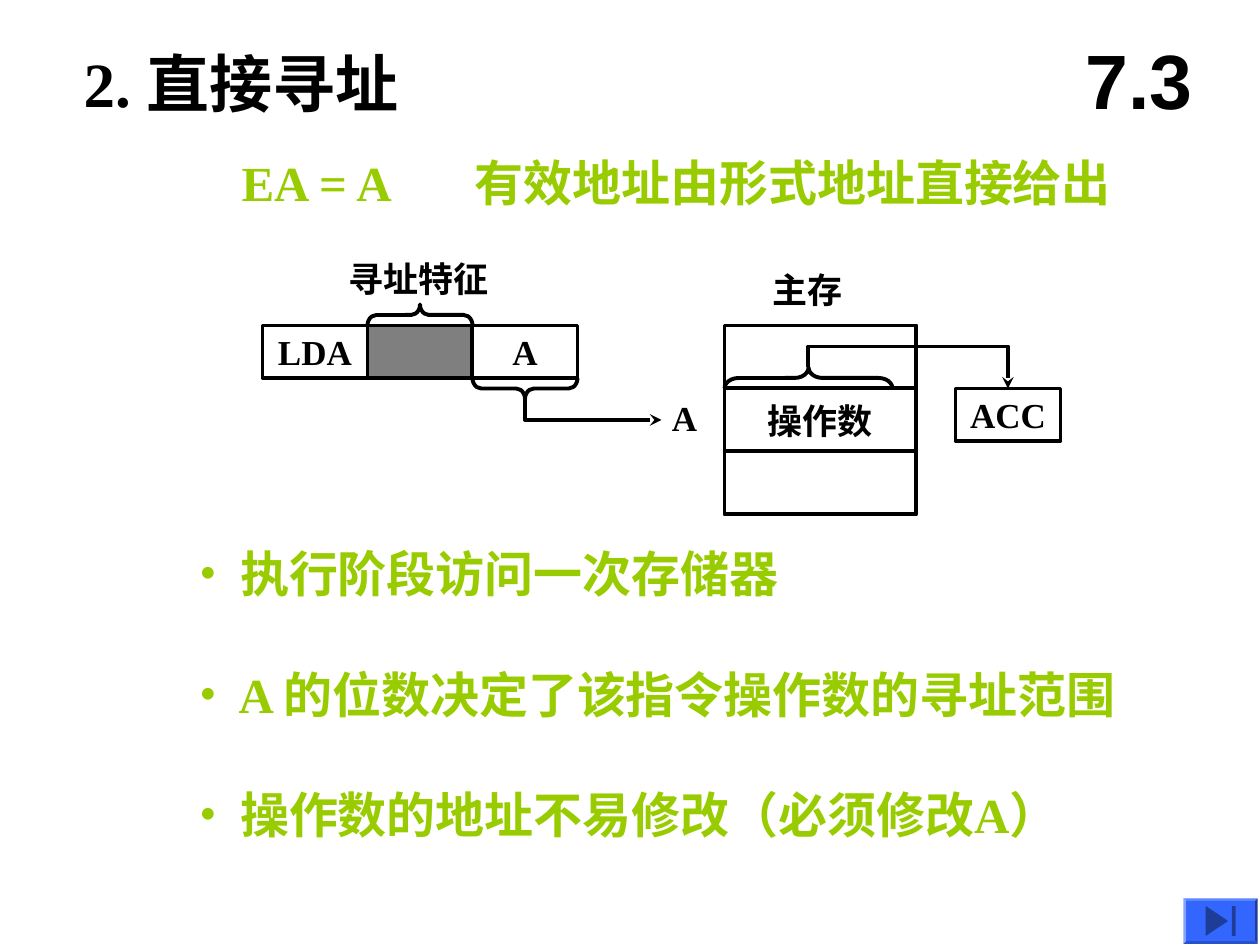
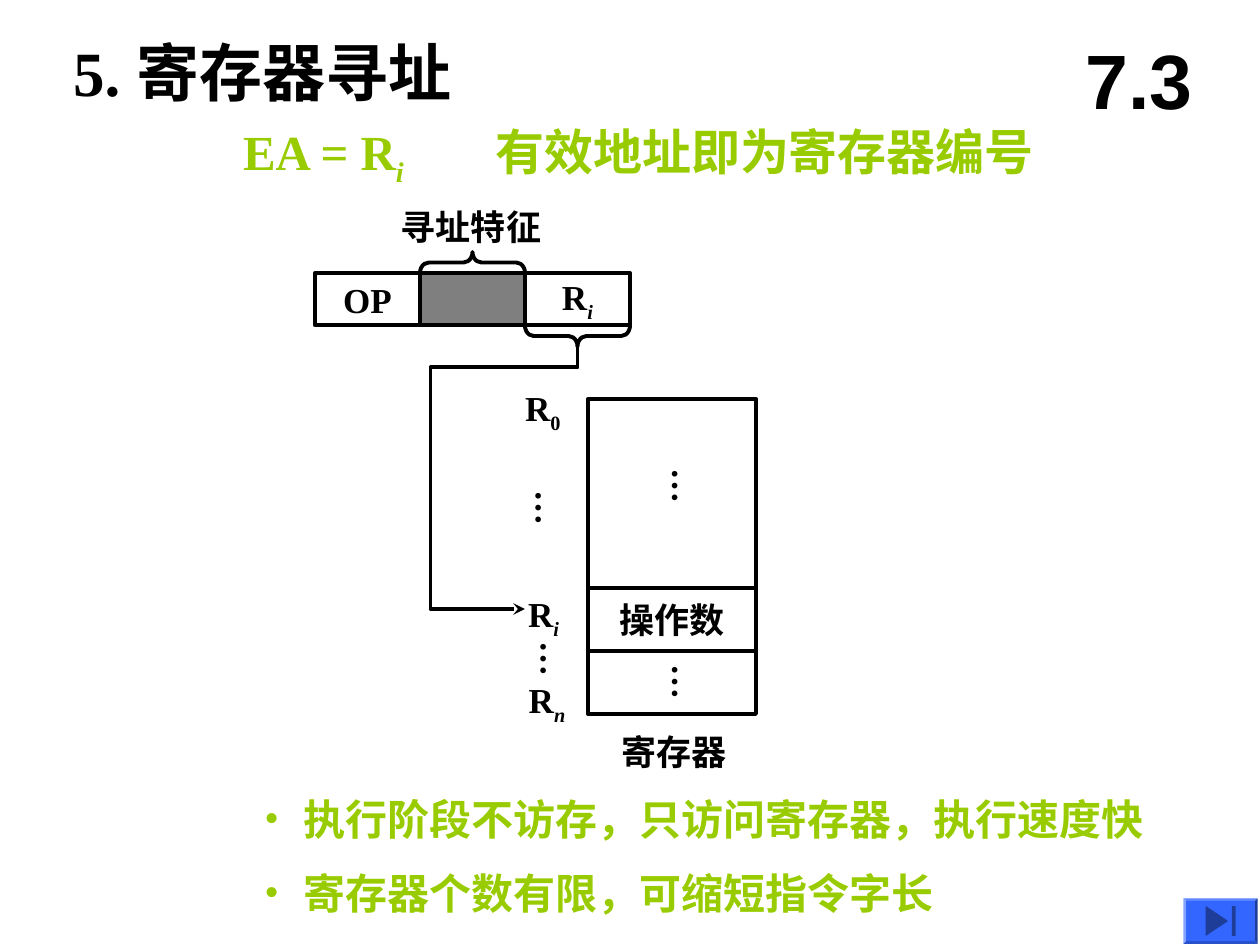
import lxml.etree
import pptx
import pptx.dml.color
import pptx.enum.shapes
import pptx.enum.text
import pptx.oxml.ns
import pptx.util

Pt = pptx.util.Pt
SHAPES = pptx.enum.shapes.MSO_SHAPE
ALIGN = pptx.enum.text.PP_ALIGN
ANCHOR = pptx.enum.text.MSO_ANCHOR
AUTO_SIZE = pptx.enum.text.MSO_AUTO_SIZE
qn = pptx.oxml.ns.qn

BLACK = "000000"
GREEN = "99CC00"
BLUE = "3366FF"
SERIF = "Times New Roman"
SANS = "Arial"


def colour(value):
    """Turn a hex string into a colour."""
    return pptx.dml.color.RGBColor.from_string(value)


def write(frame, text, size=20, font=SERIF, ink=BLACK, align=ALIGN.LEFT, bullet=False):
    """Write one bold paragraph; the part after an underscore is a subscript."""
    para = frame.paragraphs[0]
    para.alignment = align
    if bullet:
        props = para._p.get_or_add_pPr()
        props.set("marL", str(Pt(17)))
        props.set("indent", str(-Pt(17)))
        tint = lxml.etree.SubElement(props, qn("a:buClr"))
        lxml.etree.SubElement(tint, qn("a:srgbClr"), val=ink)
        lxml.etree.SubElement(props, qn("a:buFont"), typeface=font)
        lxml.etree.SubElement(props, qn("a:buChar"), char="•")
    base, _, index = text.partition("_")
    for part in filter(None, (base, index)):
        span = para.add_run()
        span.text = part
        span.font.size = Pt(size)
        span.font.name = font
        span.font.bold = True
        span.font.color.rgb = colour(ink)
    if index:
        span.font.italic = index.isalpha() or None
        span._r.get_or_add_rPr().set("baseline", "-25000")


class Lecture:
    """Hold the deck, its style and the current page."""

    line_width = 2.25
    cell_width, cell_height = 60, 30
    row_height = 36
    brace_depth = 12

    def __init__(self):
        """Start an empty 4:3 deck."""
        self.deck = pptx.Presentation()
        self.deck.slide_width = Pt(720)
        self.deck.slide_height = Pt(540)
        self.page = None

    def start_page(self, title, left, top, width):
        """Add a page with its title, section number and button."""
        self.page = self.deck.slides.add_slide(self.deck.slide_layouts[6])
        self.text(title, left, top, width, 50.4, size=36)
        section = self.text("7.3", 606, 12, 90, 66, size=44, font=SANS, align=ALIGN.CENTER)
        section.text_frame.auto_size = AUTO_SIZE.NONE
        section.text_frame.vertical_anchor = ANCHOR.MIDDLE
        self.button(676.3, 513.3, 42.4, 26)

    def button(self, left, top, width, height, rim=1.6):
        """Add the blue button with its bevelled rim."""
        frame = self.shape(SHAPES.BEVEL, left, top, width, height)
        frame.adjustments[0] = rim / height
        face = self.shape(SHAPES.ACTION_BUTTON_END, left + rim, top + rim,
                          width - 2 * rim, height - 2 * rim)
        for part in (frame, face):
            part.fill.solid()
            part.fill.fore_color.rgb = colour(BLUE)
            part.line.fill.background()

    def text(self, words, left, top, width, height, **style):
        """Add a text box."""
        box = self.page.shapes.add_textbox(Pt(left), Pt(top), Pt(width), Pt(height))
        box.text_frame.word_wrap = True
        box.text_frame.auto_size = AUTO_SIZE.SHAPE_TO_FIT_TEXT
        write(box.text_frame, words, **style)
        return box

    def formula(self, words, left, top, width, height=41):
        """Add a part of the green formula line."""
        self.text(words, left, top, width, height, size=28, ink=GREEN)

    def bullet(self, words, left, top, width, size):
        """Add a green bulleted remark."""
        self.text(" " + words, left, top, width, size * 1.45, size=size, ink=GREEN, bullet=True)

    def dots(self, left, top):
        """Add a vertical ellipsis."""
        box = self.text("…", left, top, 38, 27)
        frame = box.text_frame
        frame.word_wrap = False
        frame.margin_left = frame.margin_right = Pt(3.6)
        frame.margin_top = frame.margin_bottom = Pt(7.2)
        box.element.txBody.bodyPr.set("vert", "eaVert")

    def outline(self, shape):
        """Give a shape the plain black outline."""
        shape.shadow.inherit = False
        shape.fill.background()
        shape.line.color.rgb = colour(BLACK)
        shape.line.width = Pt(self.line_width)
        return shape

    def shape(self, kind, left, top, width, height):
        """Add an outlined preset shape."""
        return self.outline(
            self.page.shapes.add_shape(kind, Pt(left), Pt(top), Pt(width), Pt(height)))

    def cell(self, left, top, width=cell_width, height=cell_height, words=""):
        """Add a rectangle with centred text."""
        box = self.shape(SHAPES.RECTANGLE, left, top, width, height)
        if words:
            box.text_frame.word_wrap = False
            box.text_frame.vertical_anchor = ANCHOR.MIDDLE
            write(box.text_frame, words, align=ALIGN.CENTER)
        return box

    def brace(self, left, middle, length, rotation=90, curve=0.42):
        """Add a horizontal brace: 90 points up, 270 points down."""
        depth = self.brace_depth
        brace = self.shape(SHAPES.LEFT_BRACE, left + (length - depth) / 2,
                           middle - length / 2, depth, length)
        brace.adjustments[0] = curve
        brace.rotation = rotation

    def arrow(self, *points):
        """Add a bent line with an arrowhead at its end."""
        start, *rest = [(Pt(x), Pt(y)) for x, y in points]
        builder = self.page.shapes.build_freeform(*start)
        builder.add_line_segments(rest, close=False)
        bend = self.outline(builder.convert_to_shape())
        lxml.etree.SubElement(bend.element.spPr.find(qn("a:ln")), qn("a:tailEnd"), type="stealth")

    def instruction(self, left, top, opcode, address):
        """Draw the three-field instruction word with its braces."""
        width, half = self.cell_width, self.brace_depth / 2
        mode_left, address_left = left + width, left + 2 * width
        self.cell(left, top, words=opcode)
        mode = self.cell(mode_left, top)
        mode.fill.solid()
        mode.fill.fore_color.rgb = colour(BLACK)
        shade = mode.element.spPr.find(qn("a:solidFill"))[0]
        lxml.etree.SubElement(shade, qn("a:alpha"), val="50000")
        self.cell(address_left, top, words=address)
        self.text("寻址特征", mode_left - 18, top - 42.4, 100, 32)
        self.brace(mode_left, top - half, width)
        self.brace(address_left, top + self.cell_height + half, width, rotation=270)

    def memory(self, left, top, width, heights, operand_row):
        """Stack the storage rows and name the operand."""
        for row, height in enumerate(heights):
            self.cell(left, top, width, height, "操作数" if row == operand_row else "")
            top += height


def direct_addressing(lecture):
    """Build the page on direct addressing."""
    lecture.start_page("2. 直接寻址", 40.7, 22, 208)
    lecture.formula("EA = A", 131, 83.8, 108)
    lecture.formula("有效地址由形式地址直接给出", 264.2, 83.8, 414)
    row = lecture.row_height
    lecture.memory(414, 186, 109.5, [row] * 3, 1)
    lecture.text("主存", 434.5, 150, 60, 32)
    lecture.instruction(150, 186, "LDA", "A")
    lecture.arrow((300, 228), (300, 240), (378, 240))
    lecture.text("A", 376.8, 223, 32, 32)
    lecture.brace(414, 216, 96, curve=0.67)
    lecture.cell(546, 222, words="ACC")
    lecture.arrow((462, 210), (462, 198), (576, 198), (576, 222))
    remarks = [("执行阶段访问一次存储器", 352),
               ("A 的位数决定了该指令操作数的寻址范围", 545),
               ("操作数的地址不易修改（必须修改A）", 509)]
    for row, (words, width) in enumerate(remarks):
        lecture.bullet(words, 106.8, 307.2 + 68.9 * row, width, 28)


def register_addressing(lecture):
    """Build the page on register addressing."""
    lecture.start_page("5. 寄存器寻址", 34.7, 15.7, 271.5)
    lecture.formula("EA = R_i", 131.8, 66, 114, 45.4)
    lecture.formula("有效地址即为寄存器编号", 276, 66, 348)
    lecture.instruction(180, 156, "OP", "R_i")
    lecture.arrow((330, 198), (330, 210), (246, 210), (246, 348), (300, 348))
    row = lecture.row_height
    lecture.memory(336, 228, 96, [3 * row, row, row], 1)
    for left, top in [(369.8, 260.6), (369.8, 372.5), (291.8, 273.2), (294.6, 359.5)]:
        lecture.dots(left, top)
    for words, left, top in [("R_0", 293, 217.5), ("R_i", 294.7, 335), ("R_n", 295, 384.2)]:
        lecture.text(words, left, top, 40, 34.5)
    lecture.text("寄存器", 348, 414, 96, 32)
    for row, words in enumerate(["执行阶段不访存，只访问寄存器，执行速度快", "寄存器个数有限，可缩短指令字长"]):
        lecture.bullet(words, 144, 450 + 42 * row, 534, 24)


def main():
    """Build and save the deck."""
    lecture = Lecture()
    direct_addressing(lecture)
    register_addressing(lecture)
    lecture.deck.save("out.pptx")


if __name__ == "__main__":
    main()
